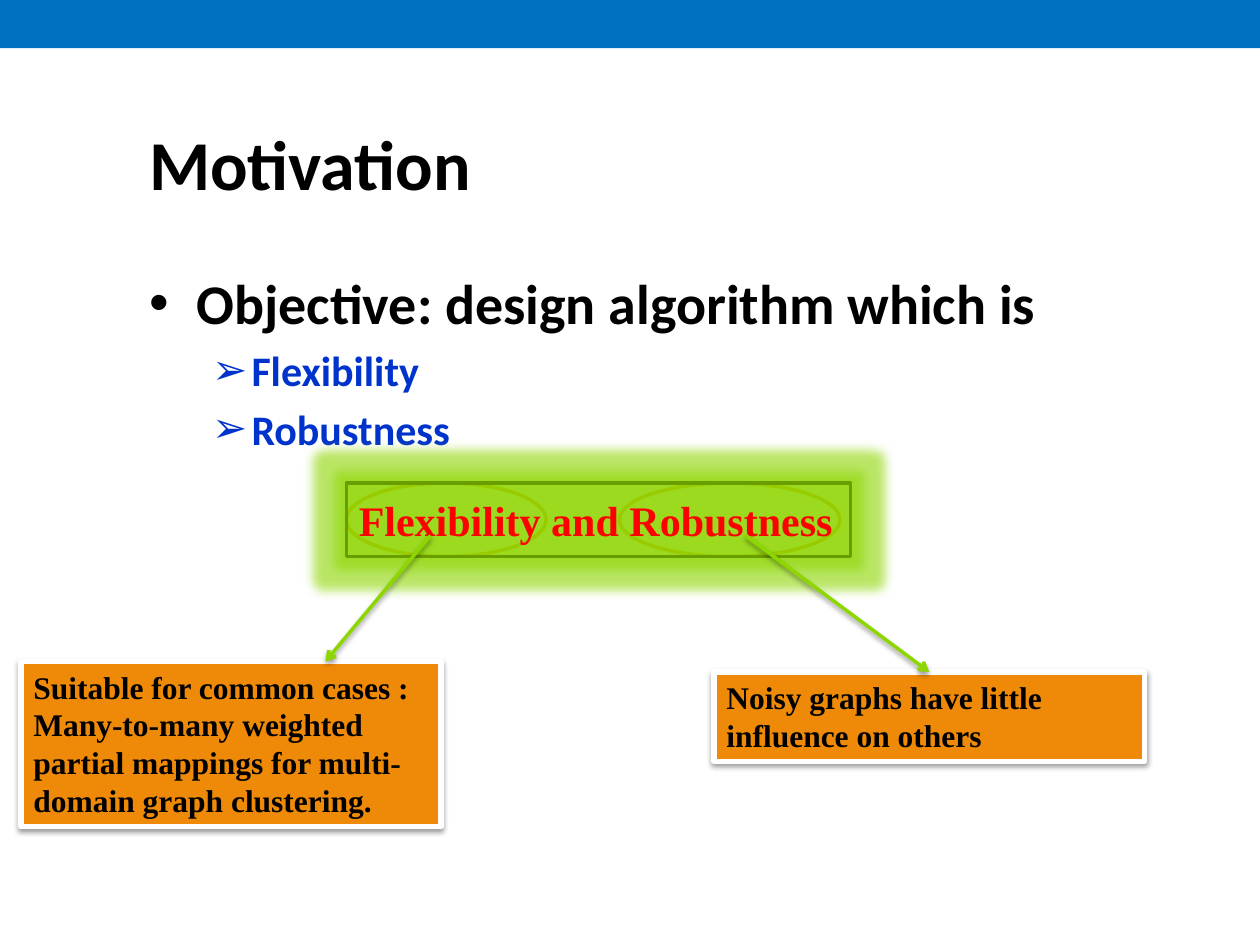
from typing import NamedTuple, Optional

from lxml import etree
from pptx import Presentation
from pptx.dml.color import RGBColor
from pptx.enum import shapes, text
from pptx.oxml import ns
from pptx.util import Pt

ORANGE, GREEN, DARK_GREEN = "EF8A09", "8DD600", "689E00"
WHITE, BLACK, RED, BLUE, BAR_BLUE = "FFFFFF", "000000", "FF0000", "0033CC", "0070C0"
SANS, SERIF = "Calibri", "Times New Roman"
RECT, OVAL = shapes.MSO_SHAPE.RECTANGLE, shapes.MSO_SHAPE.OVAL


class Box(NamedTuple):
    left: float
    top: float
    width: float
    height: float


class Bullet(NamedTuple):
    text: str
    level: int
    char: str
    indent: float
    hanging: float
    size: float
    color: str


class Note(NamedTuple):
    box: Box
    lines: list[str]
    arrow_start: tuple[float, float]
    arrow_end: Optional[tuple[float, float]]  # None: middle of the note's top


TITLE_BOX = Box(78, 60, 582, 66)
BODY_BOX = Box(78, 150, 582, 114)
KEY_BOX = Box(198, 276, 288, 42)
OVALS = [Box(354, 276, 126, 42), Box(198, 276, 114, 42)]
BULLETS = [
    Bullet("Objective: design algorithm which is", 0, "•", 27, 27, 32, BLACK),
    Bullet("Flexibility", 1, "➢", 58.5, 22.5, 24, BLUE),
    Bullet("Robustness", 1, "➢", 58.5, 22.5, 24, BLUE),
]
NOTES = [
    Note(Box(12, 378, 240, 94.5),
         ["Suitable for common cases :",
          "Many-to-many weighted partial mappings for multi-domain graph clustering."],
         (246, 306), (186, 378)),
    Note(Box(408, 384, 246, 51), ["Noisy graphs have little influence on others"],
         (426, 306), None),
]


def rgb(color: str) -> RGBColor:
    return RGBColor.from_string(color)


def add_node(parent, tag: str, **attrs):
    return etree.SubElement(parent, ns.qn(tag), {k: str(v) for k, v in attrs.items()})


def add_color(parent, color: str, opacity: int) -> None:
    clr = add_node(parent, "a:srgbClr", val=color)
    add_node(clr, "a:alpha", val=opacity * 1000)


def add_shadow(effects) -> None:
    shadow = add_node(effects, "a:outerShdw", blurRad=Pt(3.1), dist=Pt(1.6),
                      dir=90 * 60000, rotWithShape=0)
    add_color(shadow, BLACK, 38)


def add_glow(effects, color: str) -> None:
    add_color(add_node(effects, "a:glow", rad=Pt(12)), color, 60)


def effect_list(sp):
    return sp._element.spPr.find(ns.qn("a:effectLst"))


def add_run(p, content: str, size: float, font: str, color: str) -> None:
    r = p.add_run()
    r.text = content
    r.font.size, r.font.name, r.font.bold = Pt(size), font, True
    r.font.color.rgb = rgb(color)


def add_box(slide, kind, box: Box, fill: str, line: Optional[str] = None, width: float = 2):
    sp = slide.shapes.add_shape(kind, *map(Pt, box))
    sp.shadow.inherit = False
    sp.fill.solid()
    sp.fill.fore_color.rgb = rgb(fill)
    if line:
        sp.line.color.rgb = rgb(line)
        sp.line.width = Pt(width)
    else:
        sp.line.fill.background()
    return sp


def write_lines(sp, lines: list[str], size: float, color: str, anchor) -> None:
    tf = sp.text_frame
    tf.word_wrap = True
    tf.vertical_anchor = anchor
    for i, line in enumerate(lines):
        p = tf.add_paragraph() if i else tf.paragraphs[0]
        p.alignment = text.PP_ALIGN.LEFT
        add_run(p, line, size, SERIF, color)


def place(sp, box: Box) -> None:
    sp.left, sp.top, sp.width, sp.height = map(Pt, box)
    sp.text_frame.auto_size = text.MSO_AUTO_SIZE.NONE


def fill_title(sp) -> None:
    place(sp, TITLE_BOX)
    sp.text_frame.vertical_anchor = text.MSO_ANCHOR.MIDDLE
    p = sp.text_frame.paragraphs[0]
    p.alignment = text.PP_ALIGN.LEFT
    add_run(p, "Motivation", 40, SANS, BLACK)


def fill_body(sp, bullets: list[Bullet]) -> None:
    place(sp, BODY_BOX)
    tf = sp.text_frame
    for i, b in enumerate(bullets):
        p = tf.add_paragraph() if i else tf.paragraphs[0]
        p.level = b.level
        pPr = p._p.get_or_add_pPr()
        pPr.set("marL", str(Pt(b.indent)))
        pPr.set("indent", str(-Pt(b.hanging)))
        add_node(pPr, "a:buFont", typeface="Arial")
        add_node(pPr, "a:buChar", char=b.char)
        p.space_before = Pt(0.2 * b.size if i else 0)
        add_run(p, b.text, b.size, SANS, b.color)


def add_note(slide, note: Note):
    sp = add_box(slide, RECT, note.box, ORANGE, WHITE, 3)
    add_shadow(effect_list(sp))
    write_lines(sp, note.lines, 18, BLACK, text.MSO_ANCHOR.TOP)
    return sp


def add_arrow(slide, note: Note, sp) -> None:
    end = note.arrow_end or (note.box.left + note.box.width / 2, note.box.top)
    cxn = slide.shapes.add_connector(shapes.MSO_CONNECTOR.STRAIGHT,
                                     *map(Pt, note.arrow_start + end))
    if note.arrow_end is None:
        cxn.end_connect(sp, 0)
    cxn.line.color.rgb = rgb(GREEN)
    cxn.line.width = Pt(2)
    add_node(cxn.line._get_or_add_ln(), "a:tailEnd", type="arrow")
    add_shadow(add_node(cxn._element.spPr, "a:effectLst"))


def add_key_box(slide) -> None:
    sp = add_box(slide, RECT, KEY_BOX, GREEN, DARK_GREEN)
    fill_color = sp._element.spPr.find(ns.qn("a:solidFill"))[0]
    add_node(fill_color, "a:alpha", val=22000)
    add_glow(effect_list(sp), GREEN)
    write_lines(sp, ["Flexibility and Robustness"], 24, RED, text.MSO_ANCHOR.MIDDLE)


def main() -> None:
    prs = Presentation()
    prs.slide_width, prs.slide_height = Pt(720), Pt(540)
    slide = prs.slides.add_slide(prs.slide_layouts[1])
    fill_title(slide.shapes.title)
    fill_body(slide.placeholders[1], BULLETS)
    add_box(slide, RECT, Box(0, -1.5, 720, 29), BAR_BLUE)
    for oval in OVALS:
        add_box(slide, OVAL, oval, WHITE, ORANGE)
    add_key_box(slide)
    for note in NOTES:
        add_arrow(slide, note, add_note(slide, note))
    prs.save("out.pptx")


if __name__ == "__main__":
    main()
